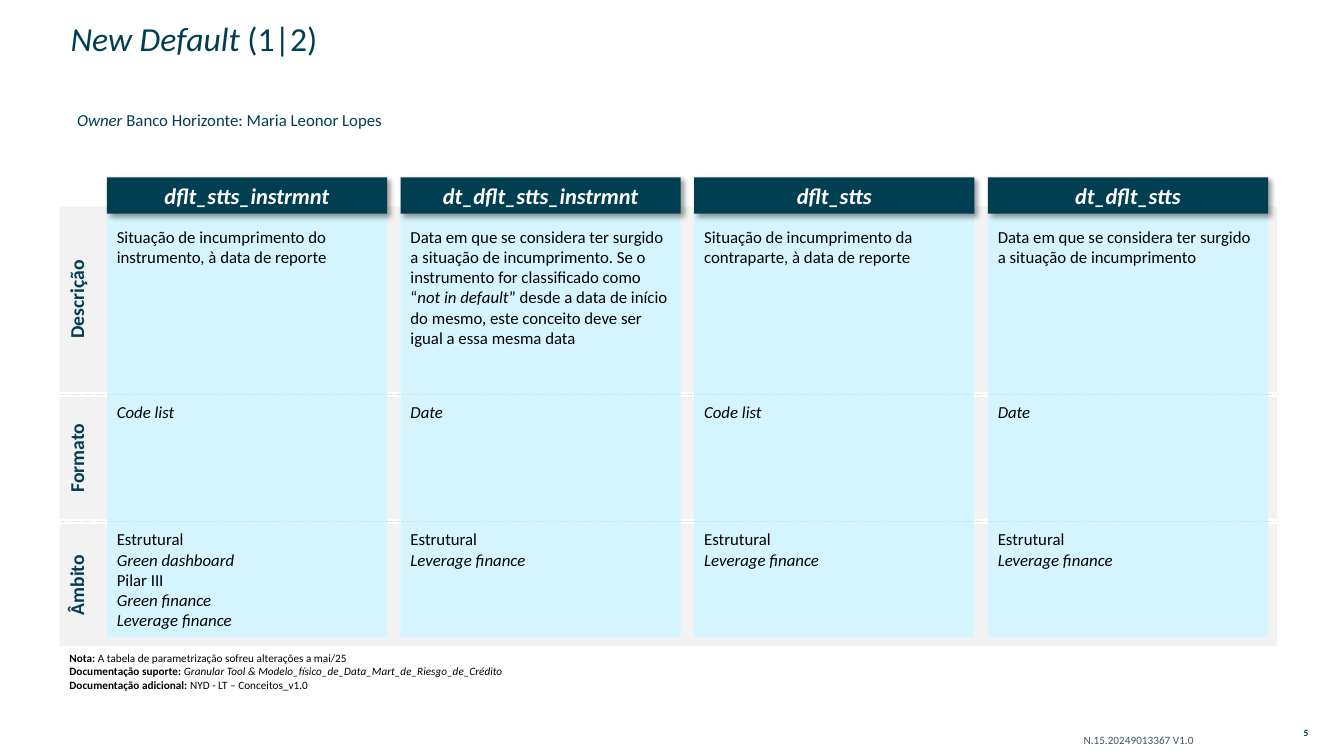
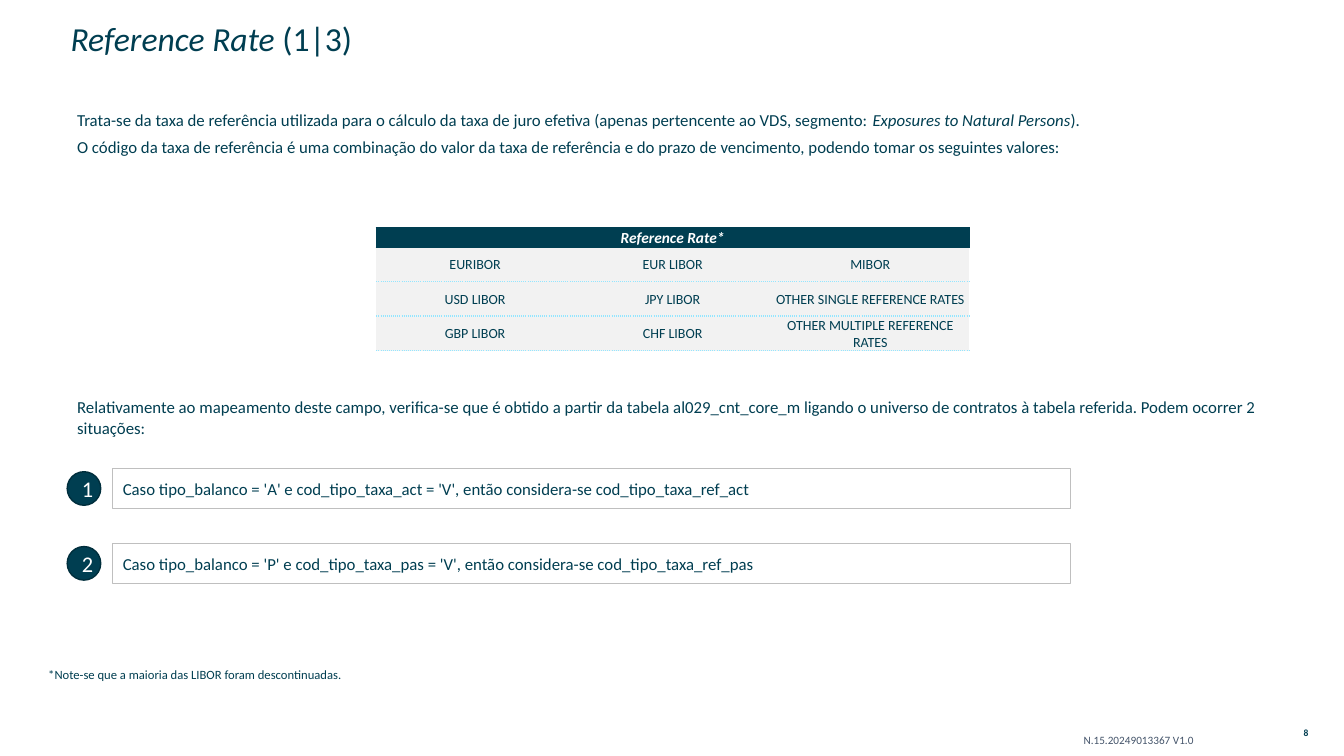
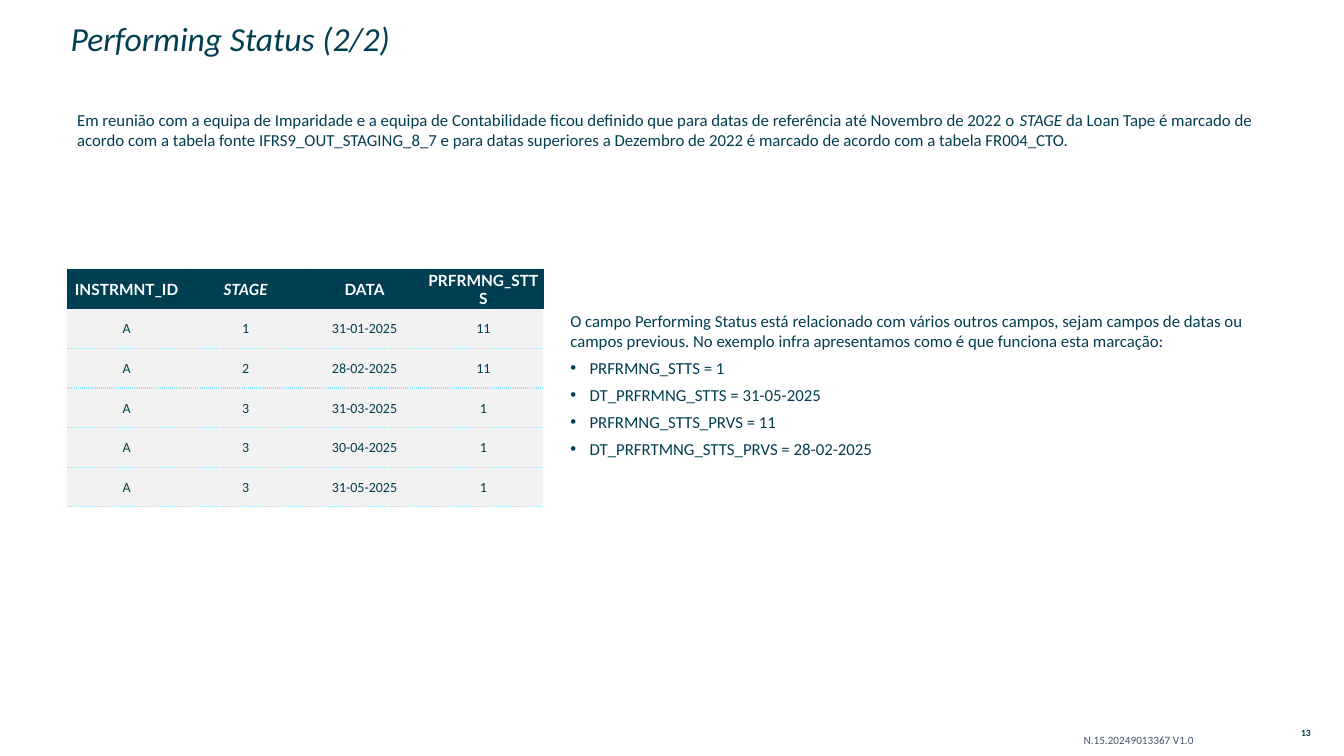
from lxml import etree
from pptx import Presentation, util as u
from pptx.dml.color import RGBColor
from pptx.enum import dml, shapes, text
from pptx.oxml import parse_xml
from pptx.oxml.ns import nsdecls, qn

COLORS = {
    "navy": "003E51", "navy_edge": "002E3C", "sky": "D4F5FF", "cyan": "94E6FF",
    "band": "F2F2F2", "dots": "D9D9D9", "frame": "BFBFBF", "slate": "44546A",
    "black": "000000", "white": "FFFFFF",
}
FONT = "Calibri"
CENTER = text.PP_ALIGN.CENTER
MIDDLE = text.MSO_ANCHOR.MIDDLE
RECTANGLE = shapes.MSO_SHAPE.RECTANGLE

# Text formats: font values, colour name and paragraph values
FORMATS = {
    "title": ({"size": u.Pt(24)}, "navy", {"line_spacing": 0.9, "alignment": text.PP_ALIGN.LEFT}),
    "body": ({"size": u.Pt(12)}, "navy", {"space_before": u.Pt(4.9)}),
    "code": ({"size": u.Pt(8)}, "slate", {"line_spacing": 0.9}),
    "number": ({"size": u.Pt(6.8), "bold": True}, "navy", {"alignment": CENTER}),
    "band": ({"size": u.Pt(14), "bold": True}, "navy", {"alignment": CENTER}),
    "header": ({"size": u.Pt(16), "bold": True, "italic": True}, "white", {"alignment": CENTER}),
    "card": ({"size": u.Pt(12)}, "black", {}),
    "note": ({"size": u.Pt(8)}, "black", {}),
    "footnote": ({"size": u.Pt(9)}, "navy", {"line_spacing": 0.9}),
    "badge": ({"size": u.Pt(16)}, "white", {"alignment": CENTER}),
    "table_header": ({"size": u.Pt(11), "bold": True}, "white", {"alignment": CENTER}),
    "table_cell": ({"size": u.Pt(10)}, "navy", {"alignment": CENTER}),
}

presentation = Presentation()
presentation.slide_width, presentation.slide_height = u.Inches(13.33), u.Inches(7.5)

# Grid of 100 columns by 100 rows; every area is left, top, width, height
COLUMN = presentation.slide_width / 100
ROW = presentation.slide_height / 100


def write(frame, paragraphs, format_name, font_name=FONT):
    """Fill a frame; a paragraph is a string or a list of (text, "b" or "i" or "")."""
    font_values, color, paragraph_values = FORMATS[format_name]
    for index, content in enumerate(paragraphs):
        paragraph = frame.paragraphs[0] if index == 0 else frame.add_paragraph()
        for name, value in paragraph_values.items():
            if name != "space_before" or index:
                setattr(paragraph, name, value)
        if isinstance(content, str):
            content = [(content, "")]
        for words, marks in content:
            run = paragraph.add_run()
            run.text = words
            values = {"name": font_name, "bold": "b" in marks, "italic": "i" in marks}
            for name, value in (values | font_values).items():
                setattr(run.font, name, value)
            if "i" in marks:
                run.font.italic = True
            run.font.color.rgb = RGBColor.from_string(COLORS[color])


def add_box(slide, area, paragraphs=(), format_name="body", geometry=None,
            fill=None, line=None, anchor=text.MSO_ANCHOR.TOP):
    """Add a text box, or a preset shape when a geometry is given."""
    left, top, width, height = area
    place = [int(left * COLUMN), int(top * ROW), int(width * COLUMN), int(height * ROW)]
    if geometry is None:
        shape = slide.shapes.add_textbox(*place)
    else:
        shape = slide.shapes.add_shape(geometry, *place)
        shape.shadow.inherit = False
        if fill:
            shape.fill.solid()
            shape.fill.fore_color.rgb = RGBColor.from_string(COLORS[fill])
        else:
            shape.fill.background()
        if line:
            shape.line.color.rgb = RGBColor.from_string(COLORS[line[0]])
            shape.line.width = u.Pt(line[1])
        else:
            shape.line.fill.background()
    frame = shape.text_frame
    frame.word_wrap = True
    frame.vertical_anchor = anchor
    if geometry is not None:
        frame.paragraphs[0].alignment = text.PP_ALIGN.LEFT
    write(frame, paragraphs, format_name)
    return shape


# Slides with their title, document code and number
slides = []
for title, number in [
    ([("New Default ", "i"), ("(1|2)", "")], "5"),
    ([("Reference Rate ", "i"), ("(1|3)", "")], "8"),
    ([("Performing Status (2/2)", "i")], "13"),
]:
    slide = presentation.slides.add_slide(presentation.slide_layouts[5])
    slides.append(slide)
    heading = slide.shapes.title
    heading.left, heading.top = int(4.5 * COLUMN), int(3.6 * ROW)
    heading.width, heading.height = int(59.6 * COLUMN), int(3.47 * ROW)
    heading.text_frame.auto_size = text.MSO_AUTO_SIZE.NONE
    heading.text_frame.vertical_anchor = MIDDLE
    write(heading.text_frame, [title], "title")
    add_box(slide, (79.88, 95.87, 11.7, 4.27), ["N.15.20249013367 V1.0"], "code", anchor=MIDDLE)
    page = add_box(slide, (95.48, 95.87, 3.38, 2.13), [number], "number", anchor=MIDDLE)
    for side, margin in {"left": 0.06, "top": 0.03, "right": 0.06, "bottom": 0.03}.items():
        setattr(page.text_frame, f"margin_{side}", u.Inches(margin))

default_slide, rate_slide, status_slide = slides

# Introductions below the titles
for slide, paragraphs in zip(slides, [
    [[("Owner ", "i"), ("Banco Horizonte: Maria Leonor Lopes", "")]],
    [[("Trata-se da taxa de referência utilizada para o cálculo da taxa de juro efetiva "
       "(apenas pertencente ao VDS, segmento: ", ""),
      ("Exposures to Natural Persons", "i"), (").", "")],
     "O código da taxa de referência é uma combinação do valor da taxa de referência e do "
     "prazo de vencimento, podendo tomar os seguintes valores:"],
    [[("Em reunião com a equipa de Imparidade e a equipa de Contabilidade ficou definido que "
       "para datas de referência até Novembro de 2022 o ", ""), ("STAGE", "i"),
      (" da Loan Tape é marcado de acordo com a tabela fonte IFRS9_OUT_STAGING_8_7 e para "
       "datas superiores a Dezembro de 2022 é marcado de acordo com a tabela FR004_CTO.", "")]],
]):
    add_box(slide, (5, 13.87, 91.13, 7.07), paragraphs)

# New Default: horizontal bands
BAND_LEFT, BAND_WIDTH, BAND_GAP = 4.43, 90.6, 0.67
band_tops = []
band_top = 27.33
for label, height in [("Descrição", 24.53), ("Formato", 16.13), ("Âmbito", 16.13)]:
    band = add_box(default_slide, (BAND_LEFT, band_top, BAND_WIDTH, height), [label], "band",
                   RECTANGLE, "band")
    band.text_frame._txBody.bodyPr.set("vert", "vert270")
    band_tops.append(band_top)
    band_top += height + BAND_GAP

# New Default: cards, then the dotted dividers across them
CARD_WIDTH = 20.85
card_lefts = [7.95 + index * (CARD_WIDTH + 1) for index in range(4)]
for left in card_lefts:
    add_box(default_slide, (left, 28.53, CARD_WIDTH, 55.73), geometry=RECTANGLE, fill="sky")
for top in band_tops[1:]:
    height = int((top - BAND_GAP / 2) * ROW)
    divider = default_slide.shapes.add_connector(
        shapes.MSO_CONNECTOR.STRAIGHT, int(BAND_LEFT * COLUMN), height,
        int((BAND_LEFT + BAND_WIDTH) * COLUMN), height)
    divider.line.color.rgb = RGBColor.from_string(COLORS["dots"])
    divider.line.width = u.Pt(1)
    divider.line.dash_style = dml.MSO_LINE.ROUND_DOT
    etree.SubElement(divider._element.spPr, qn("a:effectLst"))

# New Default: card headers and texts
SHADOW = (f'<a:outerShdw {nsdecls("a")} blurRad="{u.Pt(4)}" dist="{u.Pt(3)}" dir="2700000" '
          'algn="tl" rotWithShape="0"><a:srgbClr val="000000"><a:alpha val="40000"/>'
          '</a:srgbClr></a:outerShdw>')
scope = ["Estrutural", [("Leverage finance", "i")]]
full_scope = ["Estrutural", [("Green dashboard", "i")], "Pilar III",
              [("Green finance", "i")], [("Leverage finance", "i")]]
cards = [
    ("dflt_stts_instrmnt", ["Situação de incumprimento do instrumento, à data de reporte"],
     "Code list", full_scope),
    ("dt_dflt_stts_instrmnt",
     [[("Data em que se considera ter surgido a situação de incumprimento. Se o instrumento "
        "for classificado como “", ""), ("not in default", "i"),
       ("” desde a data de início do mesmo, este conceito deve ser igual a essa mesma data", "")]],
     "Date", scope),
    ("dflt_stts", ["Situação de incumprimento da contraparte, à data de reporte"],
     "Code list", scope),
    ("dt_dflt_stts", ["Data em que se considera ter surgido a situação de incumprimento"],
     "Date", scope),
]
for left, (field, description, data_type, card_scope) in zip(card_lefts, cards):
    header = add_box(default_slide, (left, 23.47, CARD_WIDTH, 4.8), [field], "header",
                     RECTANGLE, "navy", anchor=MIDDLE)
    header._element.spPr.find(qn("a:effectLst")).append(parse_xml(SHADOW))
    for top, height, paragraphs in [
        (band_tops[0] + 2, 17.47, description),
        (band_tops[1], 4, [[(data_type, "i")]]),
        (band_tops[2], 14.8, card_scope),
    ]:
        add_box(default_slide, (left, top, CARD_WIDTH, height), paragraphs, "card")

# New Default: notes
add_box(default_slide, (BAND_LEFT, 85.47, 56.63, 6.67), [
    [("Nota:", "b"), (" A tabela de parametrização sofreu alterações a mai/25", "")],
    [("Documentação suporte: ", "b"),
     ("Granular Tool & Modelo_físico_de_Data_Mart_de_Riesgo_de_Crédito", "i")],
    [("Documentação adicional: ", "b"), ("NYD - LT – Conceitos_v1.0", "")],
], "note")

# Reference Rate: mapping, numbered cases and footnote
add_box(rate_slide, (5, 51.87, 91.13, 7.07), [
    "Relativamente ao mapeamento deste campo, verifica-se que é obtido a partir da tabela "
    "al029_cnt_core_m ligando o universo de contratos à tabela referida. Podem ocorrer 2 "
    "situações:"])
for index, case in enumerate([
    "Caso tipo_balanco = 'A' e cod_tipo_taxa_act = 'V', então considera-se cod_tipo_taxa_ref_act",
    "Caso tipo_balanco = 'P' e cod_tipo_taxa_pas = 'V', então considera-se cod_tipo_taxa_ref_pas",
]):
    top = 62 + index * 9.9
    add_box(rate_slide, (5, top + 0.4, 2.5, 4.44), [str(index + 1)], "badge",
            shapes.MSO_SHAPE.OVAL, "navy", ("navy_edge", 1), MIDDLE)
    add_box(rate_slide, (8.4, top, 71.25, 5.33), [case], "body", RECTANGLE,
            line=("frame", 0.75), anchor=MIDDLE)
add_box(rate_slide, (2.85, 87.6, 59.6, 3.47),
        ["*Note-se que a maioria das LIBOR foram descontinuadas."], "footnote", anchor=MIDDLE)

# Tables of Reference Rate and Performing Status
rate_rows = [
    [[("Reference Rate*", "i")], "", ""],
    ["EURIBOR", "EUR LIBOR", "MIBOR"],
    ["USD LIBOR", "JPY LIBOR", "OTHER SINGLE REFERENCE RATES"],
    ["GBP LIBOR", "CHF LIBOR", "OTHER MULTIPLE REFERENCE RATES"],
]
status_rows = [
    ["INSTRMNT_ID", [("STAGE", "i")], "DATA", "PRFRMNG_STTS"],
    ["A", "1", "31-01-2025", "11"],
    ["A", "2", "28-02-2025", "11"],
    ["A", "3", "31-03-2025", "1"],
    ["A", "3", "30-04-2025", "1"],
    ["A", "3", "31-05-2025", "1"],
]
for slide, rows, left, top, column_width, header_height, row_height, header_font in [
    (rate_slide, rate_rows, 28, 30.13, 14.7, 2.53, 4.55, FONT),
    (status_slide, status_rows, 5, 35.6, 8.85, 5.24, 5.24, "Lato"),
]:
    count = len(rows[0])
    table = slide.shapes.add_table(
        len(rows), count, int(left * COLUMN), int(top * ROW), int(count * column_width * COLUMN),
        int((header_height + (len(rows) - 1) * row_height) * ROW)).table
    table.first_row = table.horz_banding = False
    for column in table.columns:
        column.width = int(column_width * COLUMN)
    for row_index, row in enumerate(rows):
        is_header = row_index == 0
        table.rows[row_index].height = int((header_height if is_header else row_height) * ROW)
        for column_index, content in enumerate(row):
            cell = table.cell(row_index, column_index)
            cell.vertical_anchor = MIDDLE
            cell.margin_left = cell.margin_top = cell.margin_right = u.Inches(0.01)
            cell.margin_bottom = 0
            for side in "LRTB":
                border = etree.SubElement(cell._tc.get_or_add_tcPr(), qn(f"a:ln{side}"),
                                          w=str(u.Pt(1)))
                if side in "LR" and not is_header:
                    etree.SubElement(border, qn("a:noFill"))
                    continue
                solid = is_header or (row_index == 1 and side == "T")
                paint = etree.SubElement(border, qn("a:solidFill"))
                etree.SubElement(paint, qn("a:srgbClr"), val=COLORS["navy" if solid else "cyan"])
                etree.SubElement(border, qn("a:prstDash"), val="solid" if solid else "sysDot")
            cell.fill.solid()
            cell.fill.fore_color.rgb = RGBColor.from_string(COLORS["navy" if is_header else "band"])
            if content:
                write(cell.text_frame, [content], "table_header" if is_header else "table_cell",
                      header_font if is_header else FONT)
    if not rows[0][1]:
        table.cell(0, 0).merge(table.cell(0, count - 1))

# Performing Status: related fields
related = add_box(status_slide, (41.7, 40.4, 52.43, 22), [
    "O campo Performing Status está relacionado com vários outros campos, sejam campos de datas "
    "ou campos previous. No exemplo infra apresentamos como é que funciona esta marcação:",
    "PRFRMNG_STTS = 1",
    "DT_PRFRMNG_STTS = 31-05-2025",
    "PRFRMNG_STTS_PRVS = 11",
    "DT_PRFRTMNG_STTS_PRVS = 28-02-2025",
])
for paragraph in related.text_frame.paragraphs[1:]:
    properties = paragraph._p.get_or_add_pPr()
    properties.set("marL", str(u.Inches(0.19)))
    properties.set("indent", str(-u.Inches(0.19)))
    etree.SubElement(properties, qn("a:buFont"), typeface="Arial")
    etree.SubElement(properties, qn("a:buChar"), char="•")

presentation.save("out.pptx")
